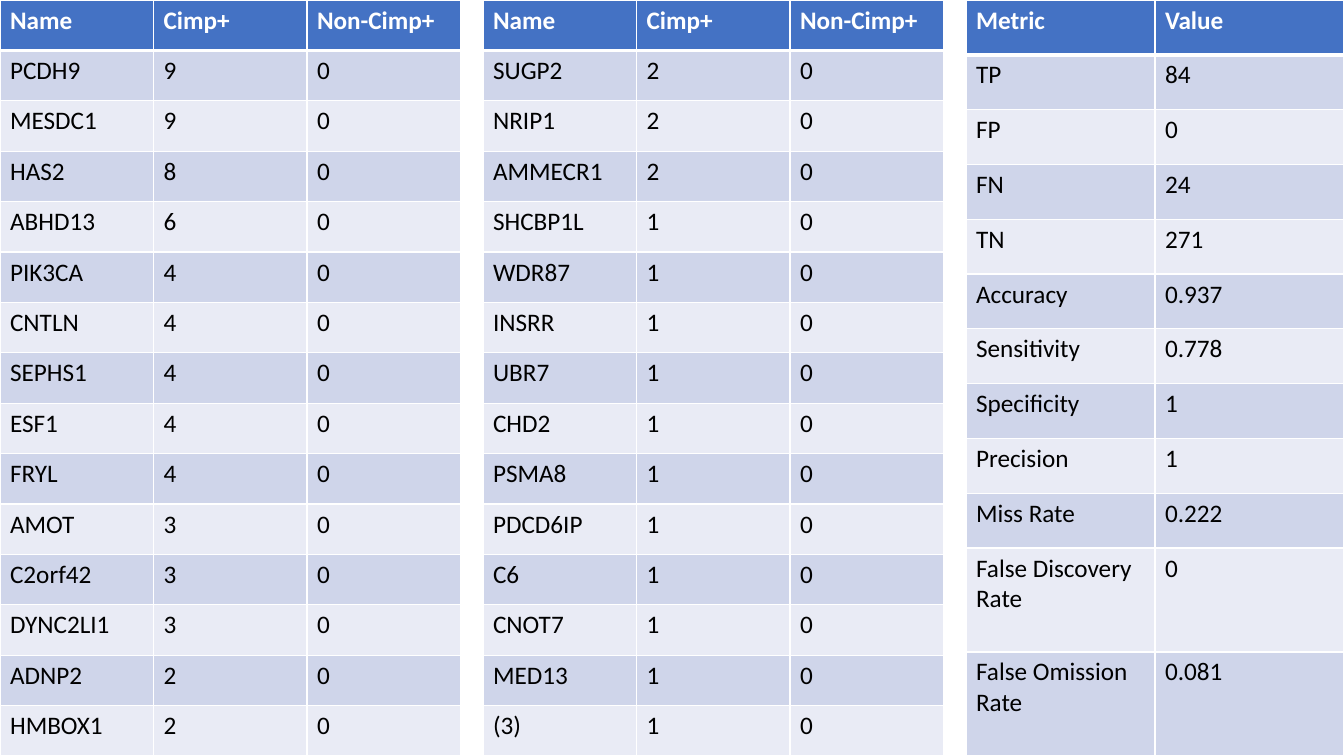
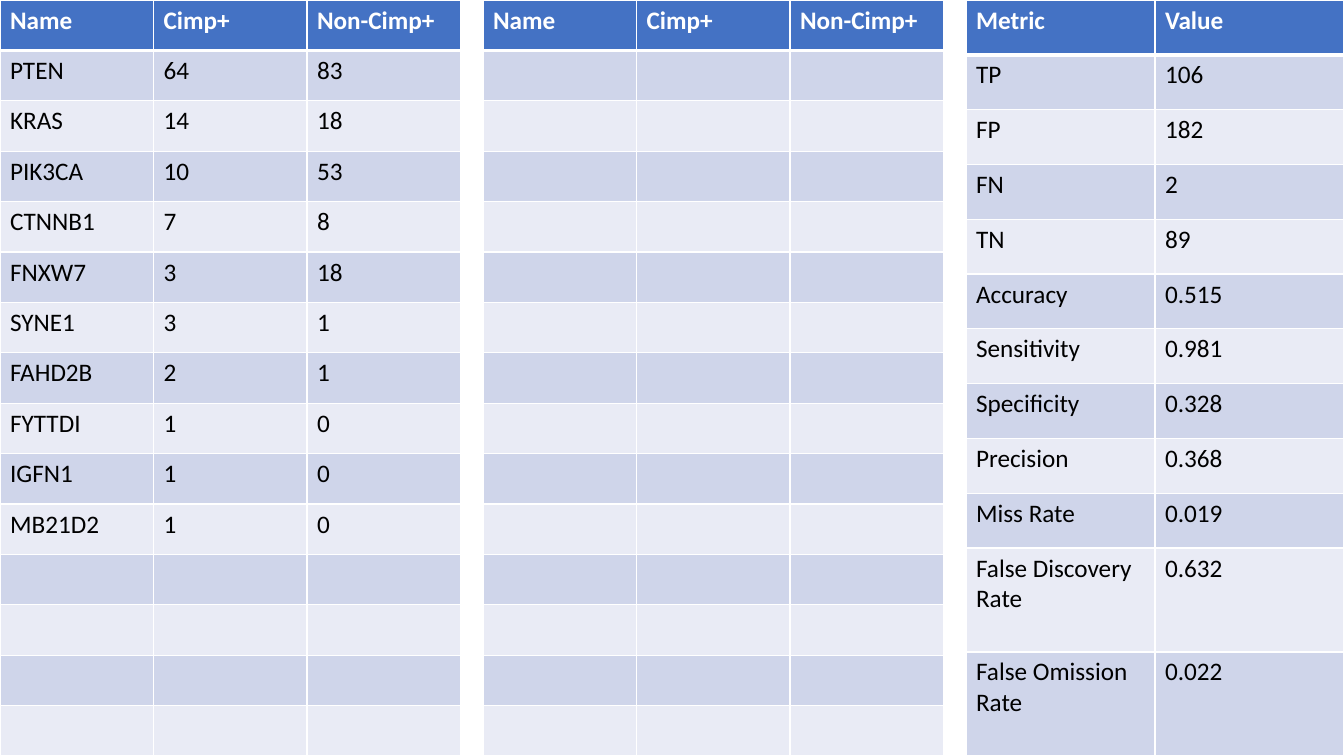
import lxml.etree
import pptx
import pptx.dml.color
import pptx.oxml.ns
import pptx.util

Pt = pptx.util.Pt
RGBColor = pptx.dml.color.RGBColor

WHITE = RGBColor(0xFF, 0xFF, 0xFF)
BLACK = RGBColor(0x00, 0x00, 0x00)
HEADER_BLUE = RGBColor(0x44, 0x72, 0xC4)
BAND_DARK = RGBColor(0xCF, 0xD5, 0xEA)
BAND_LIGHT = RGBColor(0xE9, 0xEB, 0xF5)
FONT = "Calibri"

SLIDE_WIDTH, SLIDE_HEIGHT = 960, 540
TABLE_STEP = 345
GENE_WIDTH, METRIC_WIDTH = 329, 270
GENE_ROWS = 14
GENE_HEIGHTS = [SLIDE_HEIGHT / (GENE_ROWS + 1)] * (GENE_ROWS + 1)
TALL_ROW = 74.2
METRIC_HEIGHTS = [(SLIDE_HEIGHT - 2 * TALL_ROW) / 10] * 10 + [TALL_ROW] * 2

GENE_HEADER = ("Name", "Cimp+", "Non-Cimp+")
METRIC_HEADER = ("Metric", "Value")
METRICS = (
    "TP", "FP", "FN", "TN", "Accuracy", "Sensitivity", "Specificity",
    "Precision", "Miss Rate", "False Discovery\nRate", "False Omission\nRate",
)

SLIDES = [
    {
        "genes": [
            [
                ("PCDH9", 9, 0), ("MESDC1", 9, 0), ("HAS2", 8, 0),
                ("ABHD13", 6, 0), ("PIK3CA", 4, 0), ("CNTLN", 4, 0),
                ("SEPHS1", 4, 0), ("ESF1", 4, 0), ("FRYL", 4, 0),
                ("AMOT", 3, 0), ("C2orf42", 3, 0), ("DYNC2LI1", 3, 0),
                ("ADNP2", 2, 0), ("HMBOX1", 2, 0),
            ],
            [
                ("SUGP2", 2, 0), ("NRIP1", 2, 0), ("AMMECR1", 2, 0),
                ("SHCBP1L", 1, 0), ("WDR87", 1, 0), ("INSRR", 1, 0),
                ("UBR7", 1, 0), ("CHD2", 1, 0), ("PSMA8", 1, 0),
                ("PDCD6IP", 1, 0), ("C6", 1, 0), ("CNOT7", 1, 0),
                ("MED13", 1, 0), ("(3)", 1, 0),
            ],
        ],
        "values": (84, 0, 24, 271, 0.937, 0.778, 1, 1, 0.222, 0, 0.081),
    },
    {
        "genes": [
            [
                ("PTEN", 64, 83), ("KRAS", 14, 18), ("PIK3CA", 10, 53),
                ("CTNNB1", 7, 8), ("FNXW7", 3, 18), ("SYNE1", 3, 1),
                ("FAHD2B", 2, 1), ("FYTTDI", 1, 0), ("IGFN1", 1, 0),
                ("MB21D2", 1, 0),
            ],
            [],
        ],
        "values": (106, 182, 2, 89, 0.515, 0.981, 0.328, 0.368, 0.019, 0.632, 0.022),
    },
]


def format_cell(cell, text, row_index):
    """Set borders, fill and text; row 0 is the header, the rest are banded."""
    is_header = row_index == 0
    properties = cell._tc.get_or_add_tcPr()
    for edge in ("lnL", "lnR", "lnT", "lnB"):
        thick = (is_header and edge == "lnB") or (row_index == 1 and edge == "lnT")
        line = lxml.etree.SubElement(
            properties, pptx.oxml.ns.qn("a:" + edge), w=str(Pt(3 if thick else 1))
        )
        line_fill = lxml.etree.SubElement(line, pptx.oxml.ns.qn("a:solidFill"))
        lxml.etree.SubElement(line_fill, pptx.oxml.ns.qn("a:srgbClr"), val=str(WHITE))

    cell.fill.solid()
    band = BAND_DARK if row_index % 2 else BAND_LIGHT
    cell.fill.fore_color.rgb = HEADER_BLUE if is_header else band

    if not text:
        return
    for index, words in enumerate(text.split("\n")):
        frame = cell.text_frame
        paragraph = frame.add_paragraph() if index else frame.paragraphs[0]
        run = paragraph.add_run()
        run.text = words
        run.font.name = FONT
        run.font.size = Pt(18)
        run.font.bold = is_header
        run.font.color.rgb = WHITE if is_header else BLACK


def add_data_table(slide, left, width, heights, rows):
    column_count = len(rows[0])
    table = slide.shapes.add_table(
        len(rows), column_count, Pt(left), Pt(0), Pt(width), Pt(SLIDE_HEIGHT)
    ).table
    for column in table.columns:
        column.width = Pt(width / column_count)
    for row_index, (height, values) in enumerate(zip(heights, rows)):
        table.rows[row_index].height = Pt(height)
        for column_index, value in enumerate(values):
            format_cell(table.cell(row_index, column_index), str(value), row_index)


presentation = pptx.Presentation()
presentation.slide_width = Pt(SLIDE_WIDTH)
presentation.slide_height = Pt(SLIDE_HEIGHT)
blank_layout = presentation.slide_layouts[6]

for content in SLIDES:
    slide = presentation.slides.add_slide(blank_layout)
    for position, genes in enumerate(content["genes"]):
        empty_rows = [("", "", "")] * (GENE_ROWS - len(genes))
        add_data_table(
            slide, position * TABLE_STEP, GENE_WIDTH, GENE_HEIGHTS,
            [GENE_HEADER] + genes + empty_rows,
        )
    add_data_table(
        slide, 2 * TABLE_STEP, METRIC_WIDTH, METRIC_HEIGHTS,
        [METRIC_HEADER] + list(zip(METRICS, content["values"])),
    )

presentation.save("out.pptx")
